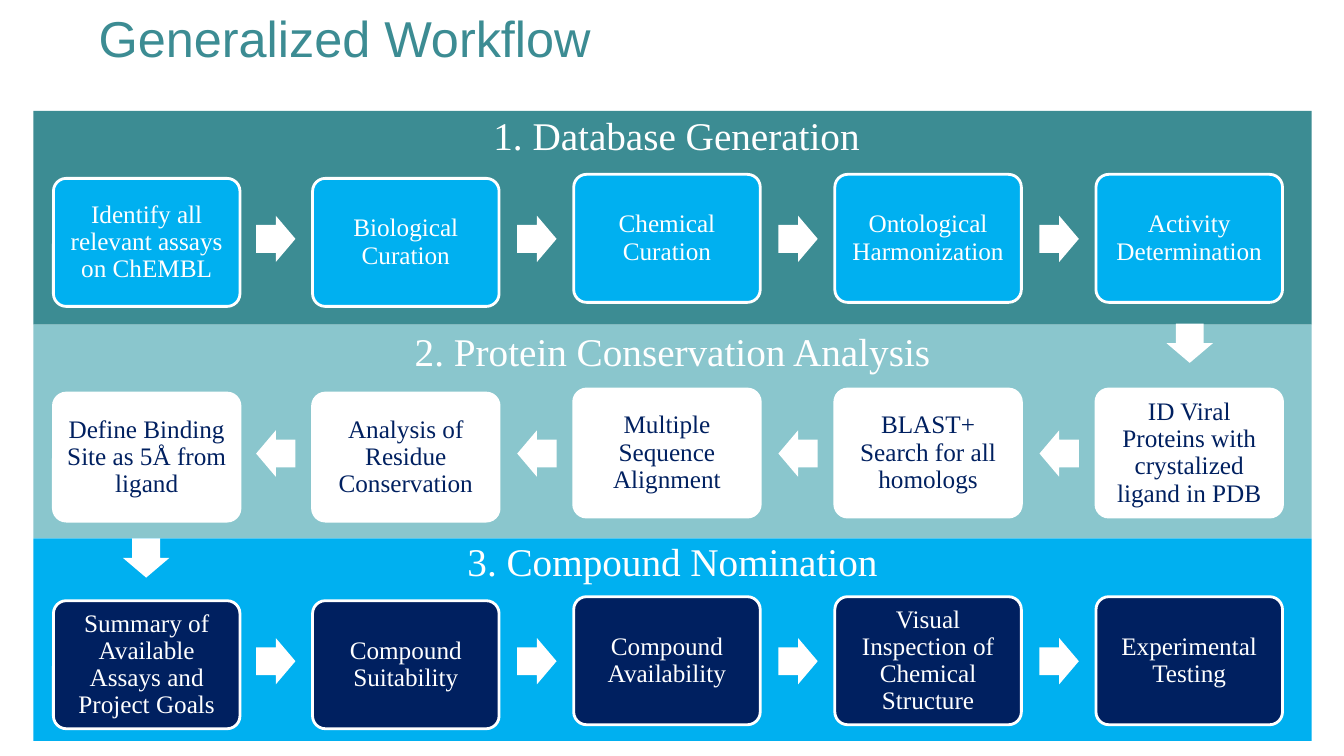
from pptx import Presentation
from pptx.dml.color import RGBColor
from pptx.enum.shapes import MSO_SHAPE
from pptx.enum.text import MSO_ANCHOR, PP_ALIGN
from pptx.util import Inches, Pt

WHITE = RGBColor(0xFF, 0xFF, 0xFF)
TEAL = RGBColor(0x3C, 0x8C, 0x93)
PALE_TEAL = RGBColor(0x8A, 0xC6, 0xCD)
BLUE = RGBColor(0x00, 0xB0, 0xF0)
NAVY = RGBColor(0x00, 0x20, 0x60)

prs = Presentation()
prs.slide_width, prs.slide_height = Inches(13.33), Inches(7.5)
slide = prs.slides.add_slide(prs.slide_layouts[6])


def add_filled(kind, left, top, width, height, color):
    shape = slide.shapes.add_shape(kind, Inches(left), Inches(top), Inches(width), Inches(height))
    shape.shadow.inherit = False
    shape.fill.solid()
    shape.fill.fore_color.rgb = color
    shape.line.fill.background()
    return shape


def write(shape, text, font_name, size, color, align):
    shape.text_frame.word_wrap = True
    paragraph = shape.text_frame.paragraphs[0]
    paragraph.text = text
    paragraph.alignment = align
    font = paragraph.runs[0].font
    font.name, font.size, font.color.rgb = font_name, Pt(size), color
    return paragraph


# Slide title
title = slide.shapes.add_textbox(Inches(0.88), Inches(0.02), Inches(11.5), Inches(1.27))
write(title, "Generalized Workflow", "Arial", 36, TEAL, PP_ALIGN.LEFT)

# Stages: heading, heading left and top, band top and height, band colour,
# step top, step fill, step text colour, arrow direction, steps from left to right
stages = [
    ("1. Database Generation", 0.37, 1.06, 1.1, 2.12, TEAL,
     1.73, BLUE, WHITE, MSO_SHAPE.RIGHT_ARROW,
     ["Identify all relevant assays on ChEMBL", "Biological Curation", "Chemical Curation",
      "Ontological Harmonization", "Activity Determination"]),
    ("2. Protein Conservation Analysis", 0.33, 3.2, 3.22, 2.12, PALE_TEAL,
     3.86, WHITE, NAVY, MSO_SHAPE.LEFT_ARROW,
     ["Define Binding Site as 5Å from ligand", "Analysis of Residue Conservation",
      "Multiple Sequence Alignment", "BLAST+ Search for all homologs",
      "ID Viral Proteins with crystalized ligand in PDB"]),
    ("3. Compound Nomination", 0.33, 5.28, 5.34, 2.01, BLUE,
     5.92, NAVY, WHITE, MSO_SHAPE.RIGHT_ARROW,
     ["Summary of Available Assays and Project Goals", "Compound Suitability",
      "Compound Availability", "Visual Inspection of Chemical Structure",
      "Experimental Testing"]),
]
step_lefts = [0.53, 3.1, 5.69, 8.28, 10.87]
step_drops = [0.04, 0.04, 0, 0, 0]
ARROW_LONG, ARROW_WIDE = 0.39, 0.46
arrows = []

for (heading, heading_left, heading_top, band_top, band_height, band_color,
     step_top, step_color, text_color, direction, steps) in stages:
    # Band and heading
    add_filled(MSO_SHAPE.RECTANGLE, 0.33, band_top, 12.68, band_height, band_color)
    heading_box = slide.shapes.add_textbox(
        Inches(heading_left), Inches(heading_top), Inches(12.68), Inches(0.57))
    write(heading_box, heading, "Times New Roman", 28, WHITE, PP_ALIGN.CENTER)

    # Steps
    for left, drop, text in zip(step_lefts, step_drops, steps):
        step = add_filled(MSO_SHAPE.ROUNDED_RECTANGLE, left, step_top + drop, 1.85, 1.27, step_color)
        step.adjustments[0] = 0.1
        step.line.color.rgb = WHITE
        step.line.width = Pt(2)
        frame = step.text_frame
        frame.vertical_anchor = MSO_ANCHOR.MIDDLE
        frame.margin_left = frame.margin_right = Inches(0.07)
        frame.margin_top = frame.margin_bottom = Inches(0.07)
        paragraph = write(step, text, "Times New Roman", 18, text_color, PP_ALIGN.CENTER)
        paragraph.line_spacing = 0.9

    # Arrows between neighbouring steps
    for gap in range(len(steps) - 1):
        arrows.append(add_filled(direction, 2.54 + 2.59 * gap, step_top + 0.41,
                                 ARROW_LONG, ARROW_WIDE, WHITE))

# Arrows down to the next stage
for left, top in [(11.57, 3.21), (1.22, 5.34)]:
    arrows.append(add_filled(MSO_SHAPE.DOWN_ARROW, left, top, ARROW_WIDE, ARROW_LONG, WHITE))

for arrow in arrows:
    arrow.adjustments[0] = 0.6
    arrow.adjustments[1] = 0.5

prs.save("out.pptx")
